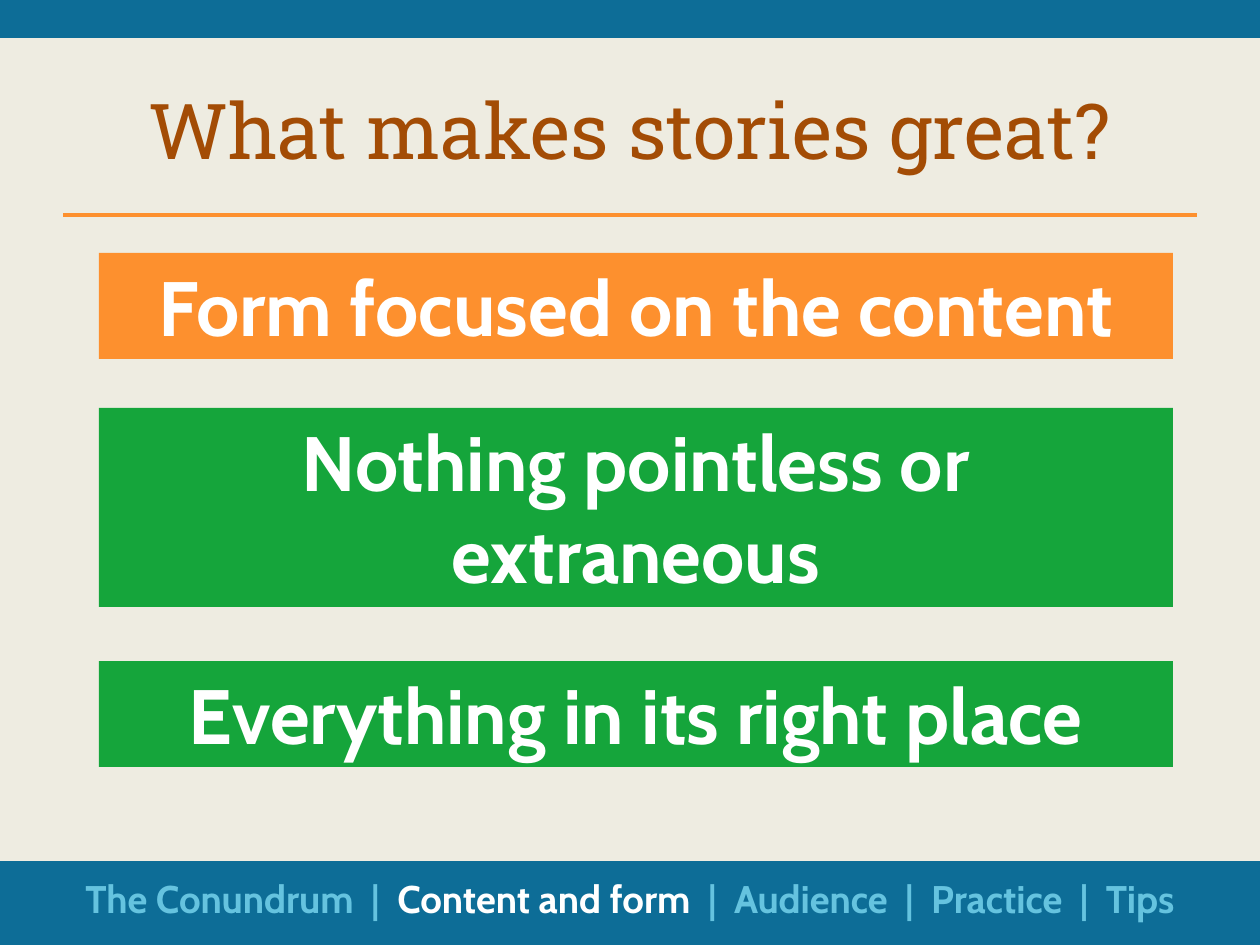
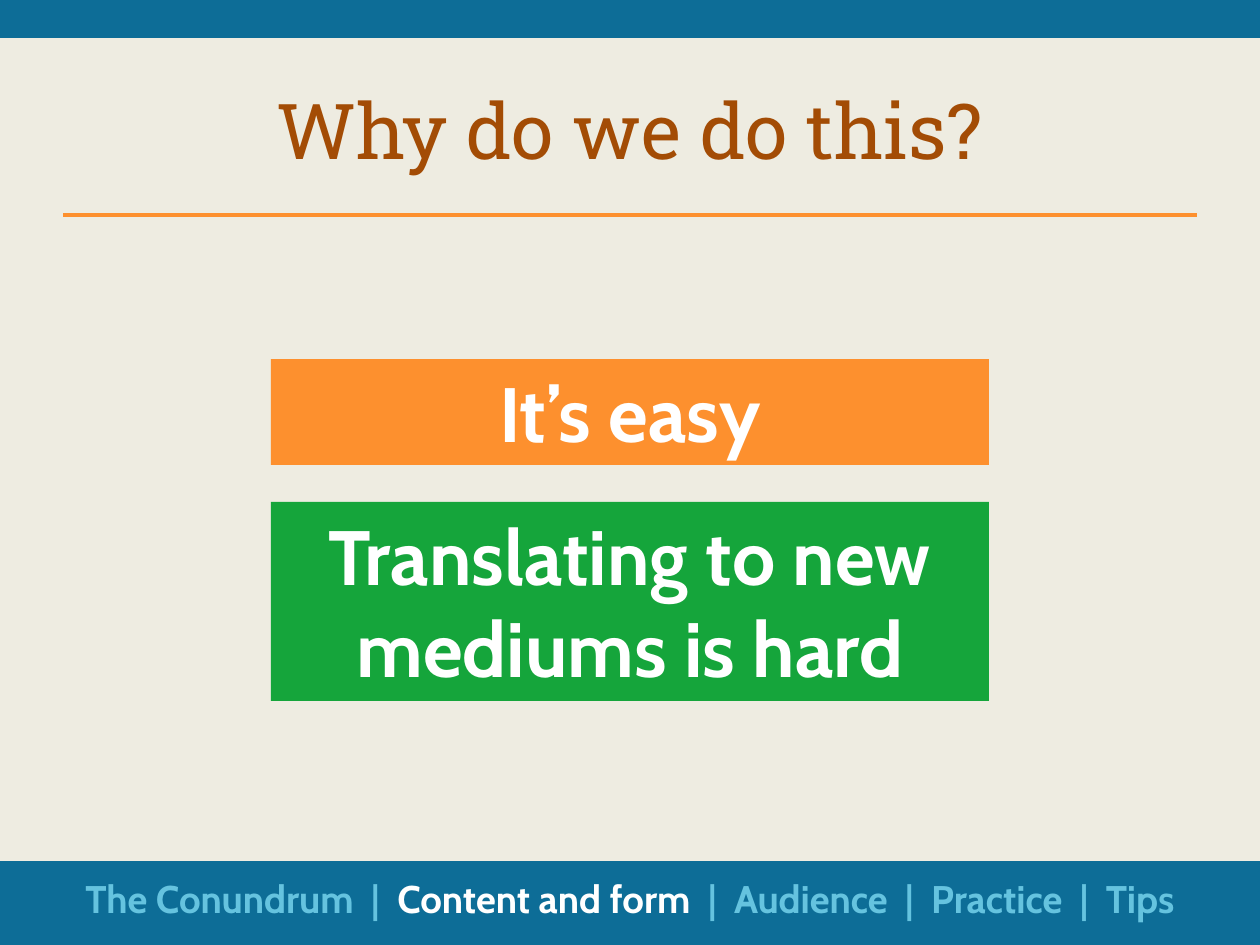
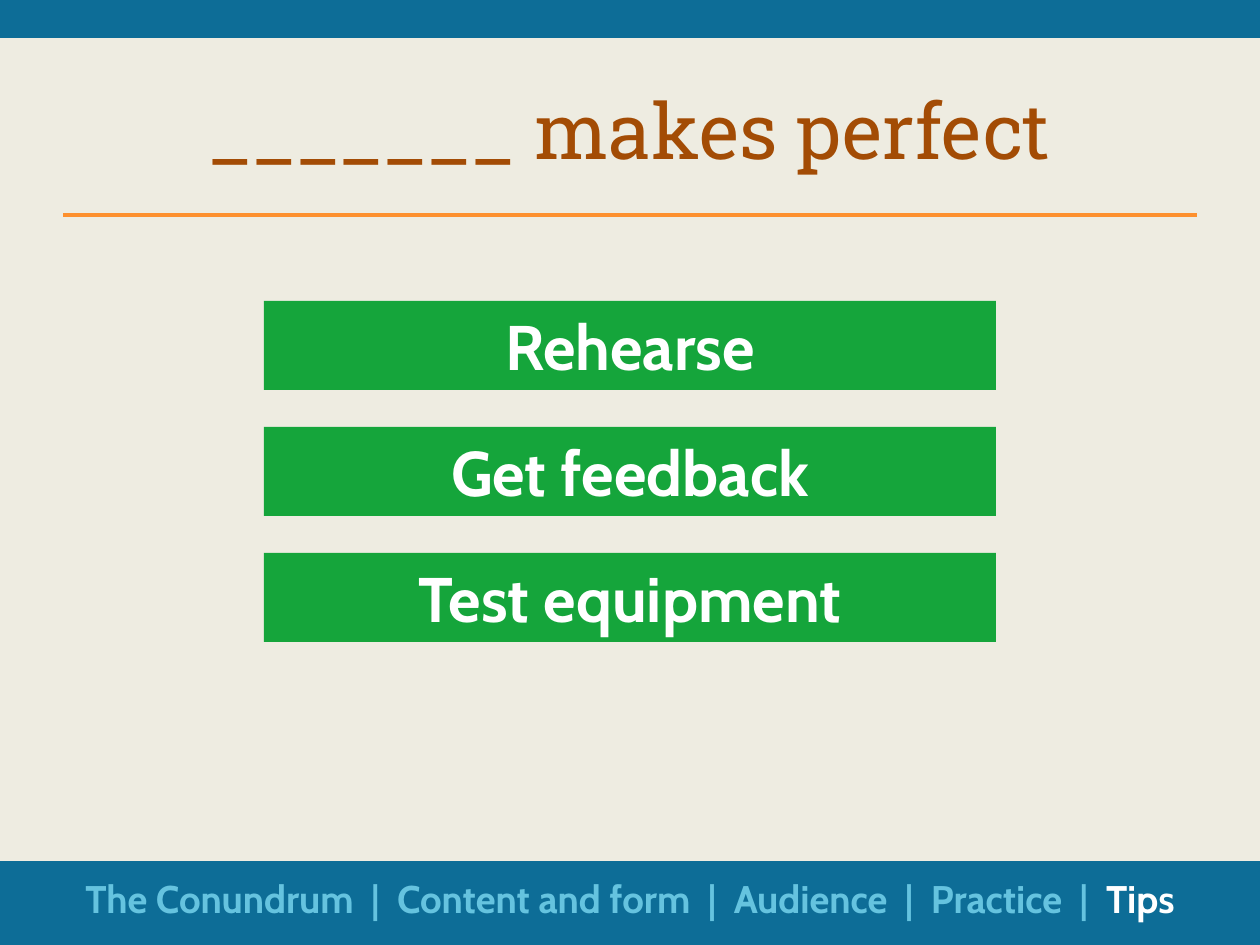
"""Build three storytelling slides with shared bands, titles and a section tracker."""
from dataclasses import dataclass

from lxml import etree
from pptx import Presentation
from pptx.dml.color import RGBColor
from pptx.enum.shapes import MSO_CONNECTOR, MSO_SHAPE
from pptx.enum.text import MSO_ANCHOR, MSO_AUTO_SIZE, PP_ALIGN
from pptx.oxml.ns import qn
from pptx.util import Emu, Pt

RECTANGLE = MSO_SHAPE.RECTANGLE
STRAIGHT = MSO_CONNECTOR.STRAIGHT
TOP, MIDDLE = MSO_ANCHOR.TOP, MSO_ANCHOR.MIDDLE
CENTER = PP_ALIGN.CENTER
FIXED, GROW = MSO_AUTO_SIZE.NONE, MSO_AUTO_SIZE.SHAPE_TO_FIT_TEXT


@dataclass(frozen=True)
class Theme:
    """Colours, typefaces and type sizes."""
    background: str = "EEECE1"
    band: str = "0D6D97"
    title: str = "A34C05"
    orange: str = "FD902E"
    green: str = "15A53B"
    white: str = "FFFFFF"
    muted: str = "65C3DF"
    title_font: str = "Roboto Slab"
    body_font: str = "Cabin"
    title_size: int = 44
    section_size: int = 22


THEME = Theme()
SECTIONS = ["The Conundrum", "Content and form", "Audience", "Practice", "Tips"]
SEPARATOR = "  |  "
SLIDES = [
    {
        "title": "What makes stories great?",
        "section": "Content and form",
        "left": 99, "width": 1074, "size": 44,
        "boxes": [
            ("Form focused on the content", THEME.orange, 253, 1),
            ("Nothing pointless or extraneous", THEME.green, 408, 2),
            ("Everything in its right place", THEME.green, 661, 1),
        ],
    },
    {
        "title": "Why do we do this?",
        "section": "Content and form",
        "left": 271, "width": 718, "size": 44,
        "boxes": [
            ("It’s easy", THEME.orange, 359, 1),
            ("Translating to new mediums is hard", THEME.green, 502, 2),
        ],
    },
    {
        "title": "_______ makes perfect",
        "section": "Tips",
        "left": 264, "width": 732, "size": 36,
        "boxes": [
            ("Rehearse", THEME.green, 301, 1),
            ("Get feedback", THEME.green, 427, 1),
            ("Test equipment", THEME.green, 553, 1),
        ],
    },
]

SLIDE_WIDTH, SLIDE_HEIGHT = 1260, 945
MARGIN = 63
CONTENT_WIDTH = SLIDE_WIDTH - 2 * MARGIN
TITLE_TOP, TITLE_HEIGHT = 63, 132
RULE_TOP = 215
TOP_BAND_HEIGHT = 38
BOTTOM_BAND_TOP = 861
SECTIONS_TOP, SECTIONS_HEIGHT = 869, 59
LINE_PER_POINT = 2.11
BOX_PADDING = 13
TITLE_ONLY = 5


def px(*lengths):
    return [Emu(round(length * 914400 / 126)) for length in lengths]


def color(value):
    return RGBColor.from_string(value)


def style(font, name, size, fill, bold=False):
    font.name, font.size, font.bold = name, Pt(size), bold
    font.color.rgb = color(fill)


def add_rectangle(slide, box, fill):
    shape = slide.shapes.add_shape(RECTANGLE, *px(*box))
    shape.shadow.inherit = False
    shape.fill.solid()
    shape.fill.fore_color.rgb = color(fill)
    shape.line.fill.background()
    return shape


def add_rule(slide):
    rule = slide.shapes.add_connector(
        STRAIGHT, *px(MARGIN, RULE_TOP, MARGIN + CONTENT_WIDTH, RULE_TOP))
    rule.line.color.rgb = color(THEME.orange)
    rule.line.width = Pt(2)
    etree.SubElement(rule.element.spPr, qn("a:effectLst"))
    return rule


def decorate_master(presentation, slide):
    master = presentation.slide_master
    master.background.fill.solid()
    master.background.fill.fore_color.rgb = color(THEME.background)
    bottom_height = SLIDE_HEIGHT - BOTTOM_BAND_TOP
    decorations = [
        add_rectangle(slide, (0, BOTTOM_BAND_TOP, SLIDE_WIDTH, bottom_height), THEME.band),
        add_rectangle(slide, (0, 0, SLIDE_WIDTH, TOP_BAND_HEIGHT), THEME.band),
        add_rule(slide),
    ]
    for position, shape in enumerate(decorations, start=2):
        master.shapes.element.insert(position, shape.element)


def set_title(slide, text):
    title = slide.shapes.title
    title.left, title.top, title.width, title.height = px(
        MARGIN, TITLE_TOP, CONTENT_WIDTH, TITLE_HEIGHT)
    frame = title.text_frame
    frame.text = text
    frame.auto_size, frame.vertical_anchor = FIXED, MIDDLE
    paragraph = frame.paragraphs[0]
    paragraph.alignment = CENTER
    style(paragraph.font, THEME.title_font, THEME.title_size, THEME.title)


def add_box(slide, content, text, fill, top, lines):
    size = content["size"]
    height = round(lines * size * LINE_PER_POINT) + BOX_PADDING
    shape = add_rectangle(slide, (content["left"], top, content["width"], height), fill)
    frame = shape.text_frame
    frame.text = text
    frame.word_wrap, frame.auto_size, frame.vertical_anchor = True, GROW, TOP
    paragraph = frame.paragraphs[0]
    paragraph.alignment = CENTER
    style(paragraph.font, THEME.body_font, size, THEME.white, bold=True)


def add_sections(slide, current):
    textbox = slide.shapes.add_textbox(
        *px(MARGIN, SECTIONS_TOP, CONTENT_WIDTH, SECTIONS_HEIGHT))
    frame = textbox.text_frame
    frame.word_wrap, frame.auto_size = True, GROW
    paragraph = frame.paragraphs[0]
    paragraph.alignment = CENTER
    before, after = SEPARATOR.join(SECTIONS).split(current)
    for text, fill in ((before, THEME.muted), (current, THEME.white), (after, THEME.muted)):
        if text:
            run = paragraph.add_run()
            run.text = text
            style(run.font, THEME.body_font, THEME.section_size, fill, bold=True)


def main():
    presentation = Presentation()
    presentation.slide_width, presentation.slide_height = px(SLIDE_WIDTH, SLIDE_HEIGHT)
    layout = presentation.slide_layouts[TITLE_ONLY]
    for content in SLIDES:
        slide = presentation.slides.add_slide(layout)
        set_title(slide, content["title"])
        for box in content["boxes"]:
            add_box(slide, content, *box)
        add_sections(slide, content["section"])
    decorate_master(presentation, presentation.slides[0])
    presentation.save("out.pptx")


if __name__ == "__main__":
    main()
